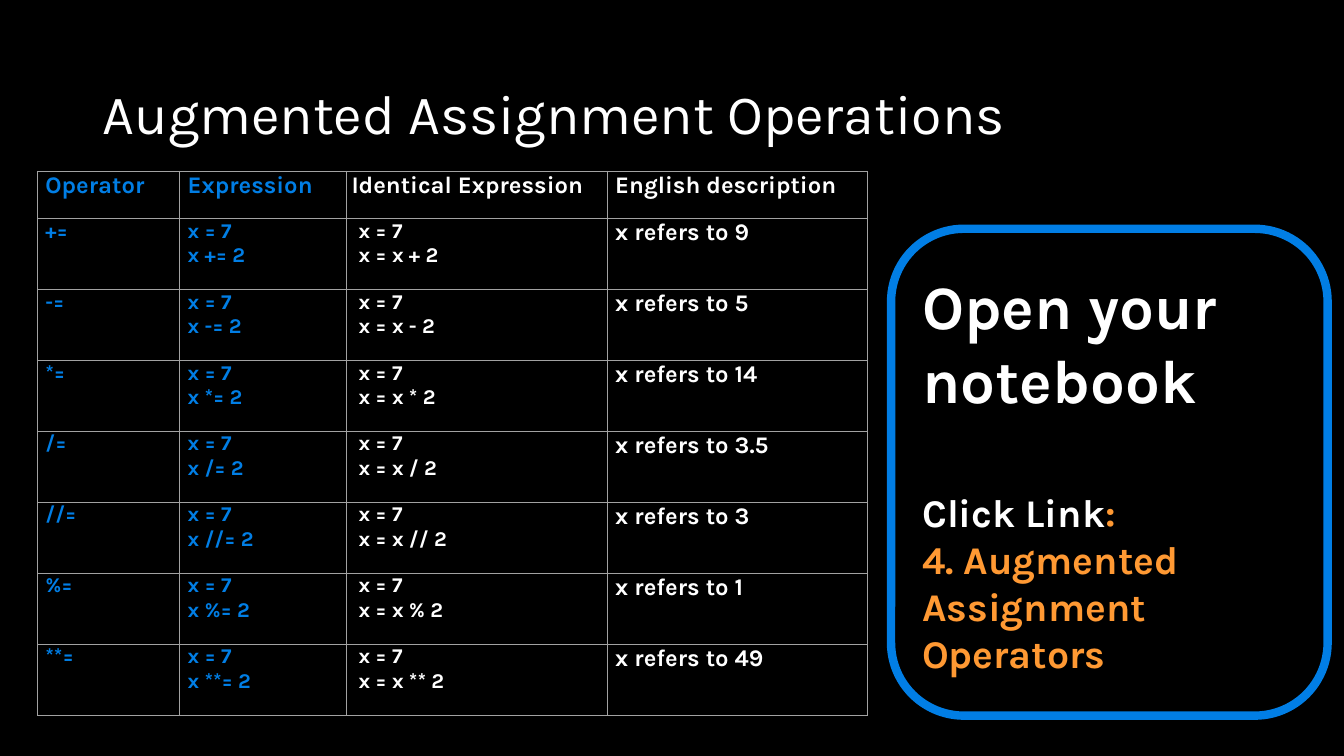
from lxml import etree
from pptx import Presentation, util as u
from pptx.dml.color import RGBColor
from pptx.enum import shapes, text
from pptx.oxml import ns

BLACK = RGBColor(0x00, 0x00, 0x00)
WHITE = RGBColor(0xFF, 0xFF, 0xFF)
BLUE = RGBColor(0x01, 0x7E, 0xE5)
ORANGE = RGBColor(0xFF, 0x99, 0x33)
GREY = RGBColor(0xA2, 0xA2, 0xA2)

HEADINGS = ["Operator", "Expression", "Identical Expression", "English description"]
RESULTS = {"+": "9", "-": "5", "*": "14", "/": "3.5", "//": "3", "%": "1", "**": "49"}
COLUMN_COLORS = [BLUE, BLUE, WHITE, WHITE]
COLUMN_SHARES = [10.58, 12.42, 19.4, 19.4]
HEADING_INDENTS = [0.08, 0.08, 0.05, 0.08]
BODY_INDENTS = [0.08, 0.08, 0.12, 0.08]
BODY_SIZES = [15, 15, 15, 17]
HEADING_SHARE, ROW_SHARE = 6.27, 9.39


class SlideBuilder:
    font = "Karla"

    def __init__(self, deck):
        self.deck = deck
        self.page = deck.slides.add_slide(deck.slide_layouts[6])
        fill = self.page.background.fill
        fill.solid()
        fill.fore_color.rgb = BLACK

    def across(self, share):
        return u.Emu(round(self.deck.slide_width * share / 100))

    def down(self, share):
        return u.Emu(round(self.deck.slide_height * share / 100))

    def area(self, left, top, width, height):
        return self.across(left), self.down(top), self.across(width), self.down(height)

    def style(self, span, size, color, bold=True):
        span.font.name = self.font
        span.font.size = u.Pt(size)
        span.font.bold = bold
        span.font.color.rgb = color

    def title(self, words, *area):
        box = self.page.shapes.add_textbox(*self.area(*area))
        frame = box.text_frame
        frame.word_wrap = True
        frame.vertical_anchor = text.MSO_ANCHOR.MIDDLE
        frame.text = words
        para = frame.paragraphs[0]
        para.line_spacing = 0.9
        self.style(para.runs[0], 39.6, WHITE, bold=False)

    def cell(self, cell, words, size, color, indent):
        cell.margin_left = u.Inches(indent)
        cell.margin_right = cell.margin_top = cell.margin_bottom = 0
        cell.text_frame.text = words
        for para in cell.text_frame.paragraphs:
            self.style(para.runs[0], size, color)
        cell.fill.background()
        properties = cell._tc.get_or_add_tcPr()
        for position, side in enumerate(["lnL", "lnR", "lnT", "lnB"]):
            border = etree.Element(ns.qn(f"a:{side}"), w=str(u.Pt(1)))
            solid = etree.SubElement(border, ns.qn("a:solidFill"))
            etree.SubElement(solid, ns.qn("a:srgbClr"), val=str(GREY))
            properties.insert(position, border)

    def operations_table(self, left, top):
        height = HEADING_SHARE + ROW_SHARE * len(RESULTS)
        area = self.area(left, top, sum(COLUMN_SHARES), height)
        table = self.page.shapes.add_table(len(RESULTS) + 1, len(HEADINGS), *area).table
        table.first_row = table.horz_banding = False
        for column, share in zip(table.columns, COLUMN_SHARES):
            column.width = self.across(share)
        for row in table.rows:
            row.height = self.down(ROW_SHARE)
        table.rows[0].height = self.down(HEADING_SHARE)
        for column, words in enumerate(HEADINGS):
            self.cell(table.cell(0, column), words, 17,
                      COLUMN_COLORS[column], HEADING_INDENTS[column])
        for row, (sign, result) in enumerate(RESULTS.items(), 1):
            entries = [f"{sign}=", f"x = 7\nx {sign}= 2",
                       f"x = 7\nx = x {sign} 2", f"x refers to {result}"]
            for column, words in enumerate(entries):
                self.cell(table.cell(row, column), words, BODY_SIZES[column],
                          COLUMN_COLORS[column], BODY_INDENTS[column])

    def callout(self, paragraphs, *area):
        box = self.page.shapes.add_shape(
            shapes.MSO_SHAPE.ROUNDED_RECTANGLE, *self.area(*area))
        box.shadow.inherit = False
        box.fill.background()
        box.line.color.rgb = BLUE
        box.line.width = u.Pt(6)
        frame = box.text_frame
        frame.word_wrap = True
        frame.vertical_anchor = text.MSO_ANCHOR.MIDDLE
        for index, (gap, size, spans) in enumerate(paragraphs):
            para = frame.add_paragraph() if index else frame.paragraphs[0]
            para.alignment = text.PP_ALIGN.LEFT
            if gap:
                para.space_before = u.Pt(gap)
            for words, color in spans:
                span = para.add_run()
                span.text = words
                self.style(span, size, color)


def main():
    deck = Presentation()
    deck.slide_width, deck.slide_height = u.Inches(13.33), u.Inches(7.5)
    slide = SlideBuilder(deck)
    slide.title("Augmented Assignment Operations", 6.9, 10.67, 86.25, 9.6)
    slide.operations_table(2.78, 22.67)
    slide.callout([
        (0, 44, [("Open your notebook", WHITE)]),
        (51.5, 28, [("Click Link", WHITE), (":", ORANGE)]),
        (0, 28, [("4. Augmented Assignment Operators", ORANGE)]),
    ], 66.3, 30.27, 32.48, 64.4)
    deck.save("out.pptx")


if __name__ == "__main__":
    main()
